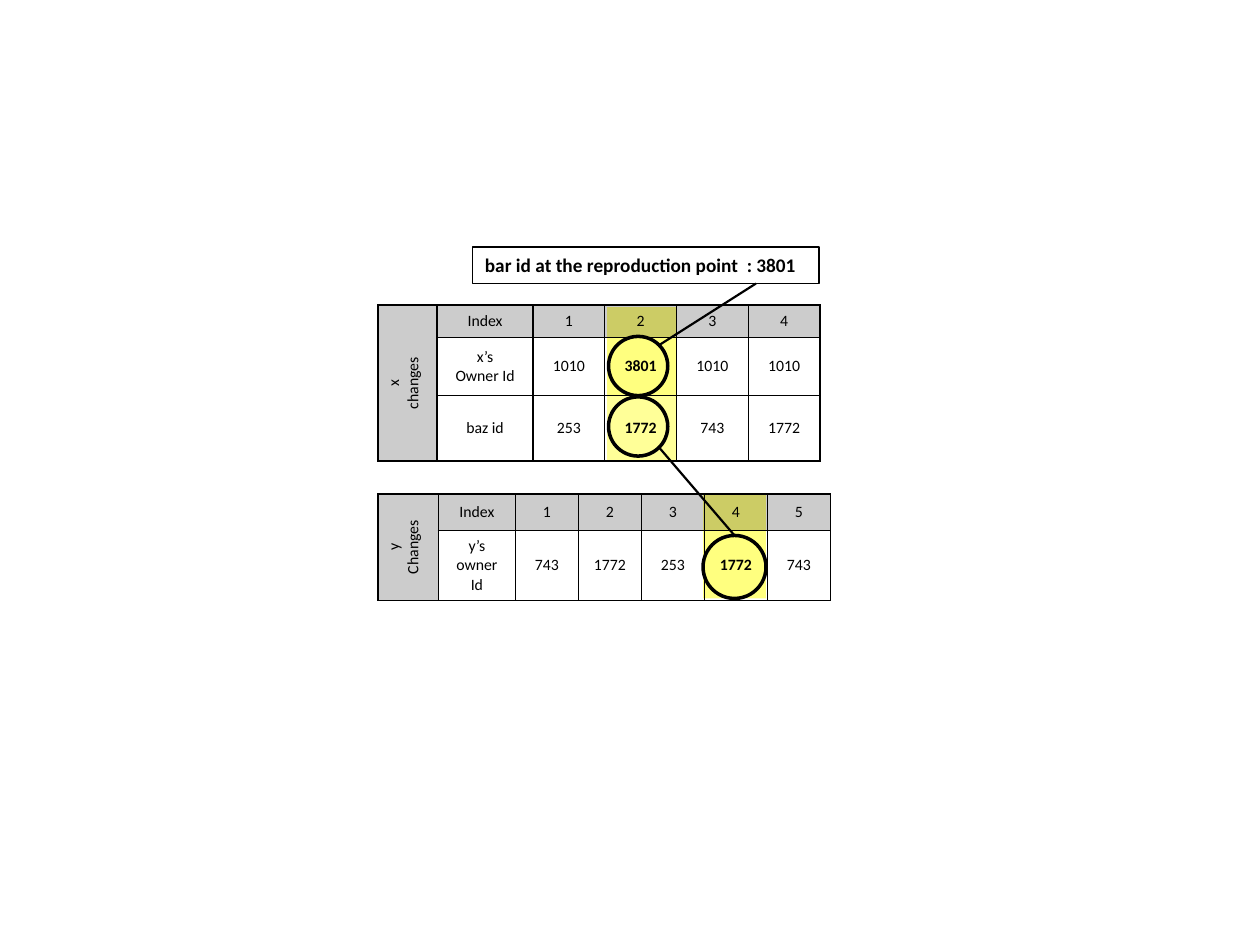
from lxml.etree import SubElement
from pptx import Presentation
from pptx.dml.color import RGBColor
from pptx.enum.shapes import MSO_CONNECTOR, MSO_SHAPE
from pptx.enum.text import MSO_ANCHOR, MSO_AUTO_SIZE, PP_ALIGN
from pptx.oxml.ns import qn
from pptx.util import Inches, Pt

BLACK = RGBColor(0, 0, 0)
WHITE = RGBColor(255, 255, 255)
YELLOW = RGBColor(255, 255, 0)
FONT = "Calibri"


def set_fill(fill, color, percent):
    """Solid fill with the given opacity."""
    fill.solid()
    fill.fore_color.rgb = color
    clr = fill._xPr.find(qn("a:solidFill"))[0]
    SubElement(clr, qn("a:alpha"), val=str(percent * 1000))


def set_font(p, size, bold=False):
    p.font.name = FONT
    p.font.size = Pt(size)
    p.font.bold = bold
    p.font.color.rgb = BLACK


def set_borders(cell):
    tcPr = cell._tc.get_or_add_tcPr()
    for i, side in enumerate(("lnL", "lnR", "lnT", "lnB")):
        ln = tcPr.makeelement(qn("a:" + side), {"w": str(Pt(1))})
        solid = SubElement(ln, qn("a:solidFill"))
        SubElement(solid, qn("a:srgbClr"), val=str(BLACK))
        tcPr.insert(i, ln)


def add_highlight(slide, x, y, w, h, outlined=False):
    sp = slide.shapes.add_shape(MSO_SHAPE.RECTANGLE, Inches(x), Inches(y), Inches(w), Inches(h))
    sp.shadow.inherit = False
    set_fill(sp.fill, YELLOW, 50)
    if outlined:
        sp.line.color.rgb = WHITE
        sp.line.width = Pt(2)
    else:
        sp.line.fill.background()


def add_ring(slide, x, y, size):
    sp = slide.shapes.add_shape(MSO_SHAPE.OVAL, Inches(x), Inches(y), Inches(size), Inches(size))
    sp.shadow.inherit = False
    sp.fill.background()
    sp.line.color.rgb = BLACK
    sp.line.width = Pt(2)


def add_line(slide, x1, y1, x2, y2):
    line = slide.shapes.add_connector(
        MSO_CONNECTOR.STRAIGHT, Inches(x1), Inches(y1), Inches(x2), Inches(y2))
    line.line.color.rgb = BLACK
    line.line.width = Pt(1.25)
    SubElement(line._element.spPr, qn("a:effectLst"))


def add_changes_table(slide, y, widths, heights, rows, bold_col, row_fills):
    """Table whose first column is one merged, rotated label."""
    table = slide.shapes.add_table(
        len(rows), len(widths), Inches(3), Inches(y),
        Inches(sum(widths)), Inches(sum(heights))).table
    table.first_row = table.horz_banding = False
    for col, w in zip(table.columns, widths):
        col.width = Inches(w)
    for row, h in zip(table.rows, heights):
        row.height = Inches(h)
    table.cell(0, 0).merge(table.cell(len(rows) - 1, 0))
    for i, values in enumerate(rows):
        for j, value in enumerate(values):
            cell = table.cell(i, j)
            cell.text = value
            cell.vertical_anchor = MSO_ANCHOR.MIDDLE
            for p in cell.text_frame.paragraphs:
                p.alignment = PP_ALIGN.CENTER
                set_font(p, 9, bold=i > 0 and j == bold_col)
            color = BLACK if j == 0 else row_fills[i]
            if color is None:
                cell.fill.background()
            else:
                set_fill(cell.fill, color, 20)
            set_borders(cell)
    table.cell(0, 0)._tc.get_or_add_tcPr().set("vert", "vert270")


def add_caption(slide, text):
    sp = slide.shapes.add_textbox(Inches(3.75), Inches(1.96), Inches(2.75), Inches(0.29))
    sp.line.color.rgb = BLACK
    sp.line.width = Pt(0.75)
    tf = sp.text_frame
    tf.word_wrap = True
    tf.auto_size = MSO_AUTO_SIZE.SHAPE_TO_FIT_TEXT
    tf.text = text
    set_font(tf.paragraphs[0], 11, bold=True)


def main():
    prs = Presentation()
    prs.slide_width, prs.slide_height = Inches(10), Inches(7.5)
    slide = prs.slides.add_slide(prs.slide_layouts[6])

    # Highlighted columns, behind the tables
    add_highlight(slide, 5.58, 3.92, 0.5, 0.83)
    add_highlight(slide, 4.8, 2.42, 0.58, 1.25, outlined=True)

    # Changes of x and of y
    add_changes_table(
        slide, 2.42, [0.47, 0.76] + [0.57] * 4, [0.26, 0.46, 0.52],
        [["x\nchanges", "Index", "1", "2", "3", "4"],
         ["", "x’s\nOwner Id", "1010", "3801", "1010", "1010"],
         ["", "baz id", "253", "1772", "743", "1772"]],
        bold_col=3, row_fills=[BLACK, None, WHITE])
    add_changes_table(
        slide, 3.92, [0.48, 0.61] + [0.5] * 5, [0.29, 0.55],
        [["y\nChanges", "Index", "1", "2", "3", "4", "5"],
         ["", "y’s owner Id", "743", "1772", "253", "1772", "743"]],
        bold_col=5, row_fills=[BLACK, None])

    # Caption, rings and the lines joining them
    add_caption(slide, "bar id at the reproduction point  : 3801")
    for x, y, size in ((4.83, 2.67, 0.47), (4.83, 3.15, 0.47), (5.58, 4.25, 0.5)):
        add_ring(slide, x, y, size)
    add_line(slide, 6, 2.25, 5.23, 2.74)
    add_line(slide, 5.23, 3.55, 5.83, 4.25)

    prs.save("out.pptx")


main()
